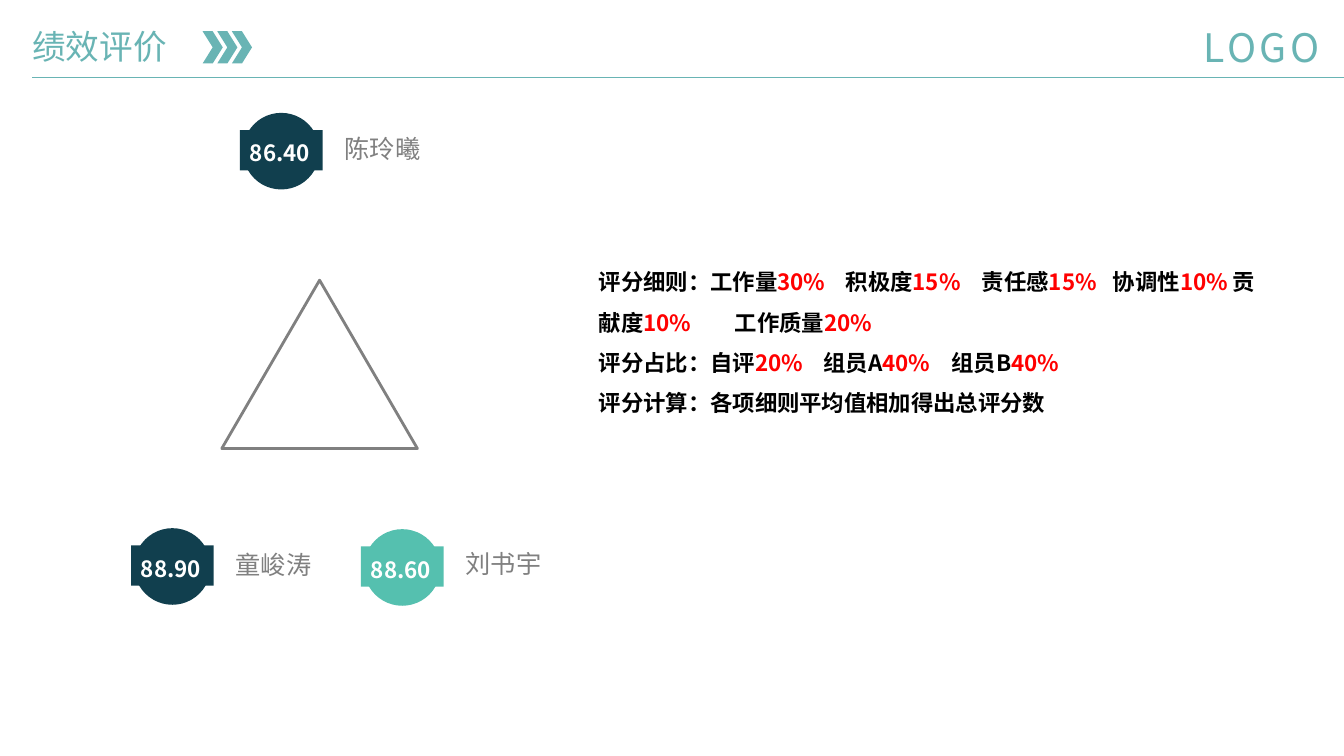
"""Build the performance review slide with three scored team members."""
from lxml import etree
from pptx import Presentation
from pptx.dml.color import RGBColor
from pptx.enum.shapes import MSO_CONNECTOR, MSO_SHAPE as SHAPE
from pptx.enum.text import MSO_ANCHOR, PP_ALIGN
from pptx.oxml.ns import qn
from pptx.util import Inches, Pt

FONT = "Noto Sans CJK SC"
TEAL, NAVY, MINT, GRAY = "69B4B4", "113F4E", "55C0AF", "808080"
BLACK, RED, WHITE = "000000", "FF0000", "FFFFFF"


def rgb(color):
    return RGBColor.from_string(color)


def style(p, size, color, bold=False):
    p.font.name, p.font.size, p.font.bold = FONT, Pt(size), bold
    p.font.color.rgb = rgb(color)
    props = p._p.pPr.find(qn("a:defRPr"))
    etree.SubElement(props, qn("a:ea")).set("typeface", FONT)
    return props


prs = Presentation()
prs.slide_width, prs.slide_height = Inches(13.33), Inches(7.5)
s = prs.slides.add_slide(prs.slide_layouts[6])

rule = s.shapes.add_connector(MSO_CONNECTOR.STRAIGHT, Inches(0.32), Inches(0.77),
                              Inches(13.33), Inches(0.77))
rule.line.color.rgb = rgb(TEAL)
rule.line.width = Pt(0.5)
etree.SubElement(rule._element.spPr, qn("a:effectLst"))

title = s.shapes.add_textbox(Inches(0.32), Inches(0.26), Inches(2.81), Inches(0.4))
tf = title.text_frame
tf.word_wrap = True
tf.margin_left = tf.margin_top = tf.margin_right = tf.margin_bottom = 0
tf.text = "绩效评价"
style(tf.paragraphs[0], 24, TEAL)

for i in range(3):
    sp = s.shapes.add_shape(SHAPE.CHEVRON, Inches(2.01 + 0.145 * i), Inches(0.31),
                            Inches(0.2), Inches(0.32))
    sp.shadow.inherit = False
    sp.fill.solid()
    sp.fill.fore_color.rgb = rgb(TEAL)
    sp.line.fill.background()

logo = s.shapes.add_textbox(Inches(11.86), Inches(0.19), Inches(1.42), Inches(0.55))
tf = logo.text_frame
tf.margin_left = tf.margin_right = Inches(0.08)
tf.margin_top = tf.margin_bottom = Inches(0.04)
tf.text = "LOGO"
style(tf.paragraphs[0], 28, TEAL).set("spc", "250")

members = [
    ("陈玲曦", "86.40", NAVY, 2.38, 1.12, 1.27),
    ("刘书宇", "88.60", MINT, 3.58, 5.25, 5.39),
    ("童峻涛", "88.90", NAVY, 1.3, 5.24, 5.4),
]
for name, score, color, left, top, name_top in members:
    circle = s.shapes.add_shape(SHAPE.OVAL, Inches(left + 0.03), Inches(top),
                                Inches(0.76), Inches(0.76))
    band = s.shapes.add_shape(SHAPE.RECTANGLE, Inches(left), Inches(top + 0.17),
                              Inches(0.82), Inches(0.4))
    for sp in (circle, band):
        sp.shadow.inherit = False
        sp.fill.solid()
        sp.fill.fore_color.rgb = rgb(color)
        sp.line.fill.background()
    tf = band.text_frame
    tf.word_wrap = False
    tf.vertical_anchor = MSO_ANCHOR.MIDDLE
    tf.text = score
    p = tf.paragraphs[0]
    p.alignment = PP_ALIGN.JUSTIFY
    p.line_spacing = 1.2
    style(p, 16, WHITE, True)

    label = s.shapes.add_textbox(Inches(left + 0.94), Inches(name_top),
                                 Inches(3.31), Inches(0.4))
    label.text_frame.word_wrap = True
    label.text_frame.text = name
    style(label.text_frame.paragraphs[0], 18, GRAY)

triangle = s.shapes.add_shape(SHAPE.ISOSCELES_TRIANGLE, Inches(2.2), Inches(2.78),
                              Inches(1.94), Inches(1.67))
triangle.shadow.inherit = False
triangle.fill.background()
triangle.line.color.rgb = rgb(GRAY)
triangle.line.width = Pt(2)

criteria = [
    ([1.35, 2.45, 3.8, 5.1],
     ["评分细则：工作量", "30%\t", "积极度", "15%\t", "责任感", "15%\t", "协调性", "10% ",
      "贡献度", "10%\t", "工作质量", "20%"]),
    ([2.23, 3.5], ["评分占比：自评", "20%\t", "组员A", "40%\t", "组员B", "40%"]),
    ([], ["评分计算：各项细则平均值相加得出总评分数"]),
]
rules = s.shapes.add_textbox(Inches(5.84), Inches(2.48), Inches(6.72), Inches(1.65))
tf = rules.text_frame
tf.word_wrap = True
for i, (stops, pieces) in enumerate(criteria):
    p = tf.paragraphs[0] if i == 0 else tf.add_paragraph()
    p.line_spacing = 1.5
    if stops:
        tabs = etree.SubElement(p._p.get_or_add_pPr(), qn("a:tabLst"))
        for stop in stops:
            etree.SubElement(tabs, qn("a:tab"), pos=str(Inches(stop)), algn="l")
    style(p, 16, BLACK, True)
    for piece in pieces:
        r = p.add_run()
        r.text = piece
        if "%" in piece:
            r.font.color.rgb = rgb(RED)

prs.save("out.pptx")
